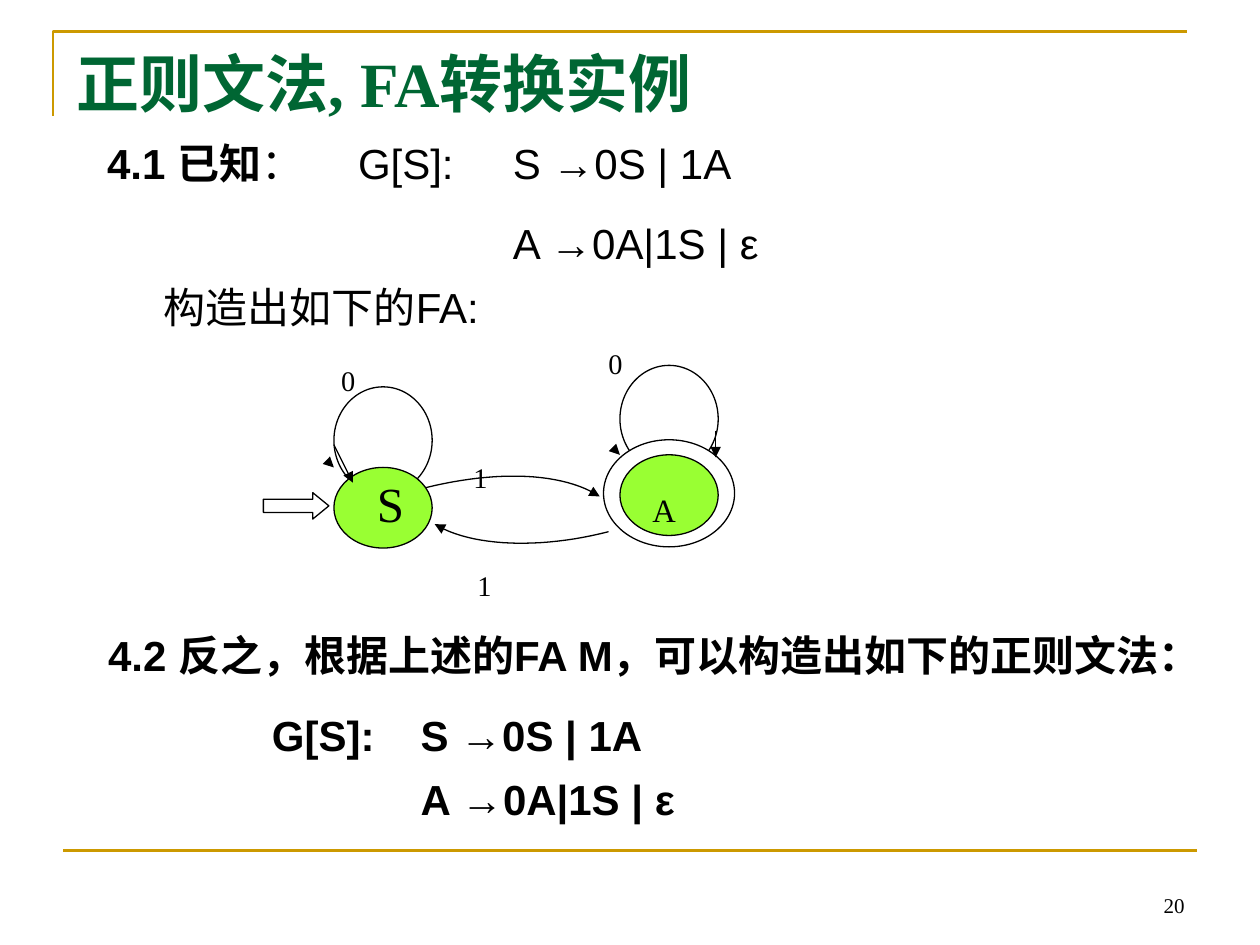
import pptx
import pptx.util
import pptx.dml.color
import pptx.enum.shapes
import pptx.enum.text
import pptx.oxml
import pptx.oxml.ns
import lxml.etree

Inches, Pt = pptx.util.Inches, pptx.util.Pt
Shape = pptx.enum.shapes.MSO_SHAPE
Align = pptx.enum.text.PP_ALIGN
Anchor = pptx.enum.text.MSO_ANCHOR
qn = pptx.oxml.ns.qn
ROMAN, SANS = "Times New Roman", "Arial"
BLACK, WHITE, GOLD, GREEN, LIME = "000000", "FFFFFF", "CC9900", "006633", "99FF33"


def color(code):
    return pptx.dml.color.RGBColor.from_string(code)


def place(shape, box):
    shape.left, shape.top, shape.width, shape.height = map(Inches, box)


def style(para, name, size, code=BLACK, bold=None):
    font = para.font
    font.name, font.size, font.bold = name, Pt(size), bold
    font.color.rgb = color(code)


def stroke(shape, code=BLACK, width=0.75, arrow=False):
    shape.line.color.rgb = color(code)
    shape.line.width = Pt(width)
    if arrow:
        line = shape.line._get_or_add_ln()
        lxml.etree.SubElement(line, qn("a:tailEnd"), type="triangle")


def line(slide, start, end, code=BLACK, width=0.75, arrow=False):
    kind = pptx.enum.shapes.MSO_CONNECTOR.STRAIGHT
    link = slide.shapes.add_connector(kind, *map(Inches, start + end))
    stroke(link, code, width, arrow)
    lxml.etree.SubElement(link._element.spPr, qn("a:effectLst"))


def path(slide, points, code=BLACK, width=0.75, arrow=False):
    first, *rest = [(Inches(x), Inches(y)) for x, y in points]
    pen = slide.shapes.build_freeform(*first)
    pen.add_line_segments(rest, close=False)
    shape = pen.convert_to_shape()
    shape.fill.background()
    shape.shadow.inherit = False
    stroke(shape, code, width, arrow)


def curve(ends, steps=24):
    """Points along a cubic curve given by its four control points."""
    points = []
    for i in range(steps + 1):
        t = i / steps
        parts = ((1 - t) ** 3, 3 * t * (1 - t) ** 2, 3 * t * t * (1 - t), t ** 3)
        points.append(tuple(sum(w * p[k] for w, p in zip(parts, ends)) for k in (0, 1)))
    return points


def solid(slide, kind, box, fill=WHITE):
    shape = slide.shapes.add_shape(kind, *map(Inches, box))
    shape.fill.solid()
    shape.fill.fore_color.rgb = color(fill)
    shape.shadow.inherit = False
    stroke(shape)
    return shape


def label(slide, text, box, size, align=Align.LEFT, base=0, anchor=Anchor.TOP):
    frame = slide.shapes.add_textbox(*map(Inches, box)).text_frame
    frame.word_wrap = True
    frame.vertical_anchor = anchor
    para = frame.paragraphs[0]
    para.alignment = align
    run = para.add_run()
    run.text = text
    style(para, ROMAN, size)
    if base:
        run._r.get_or_add_rPr().set("baseline", str(base * 1000))


def rules(frame, rows):
    """Fill a frame with rows of (runs, left, hang); a run is (text, bold, spread)."""
    frame.word_wrap = True
    frame.auto_size = pptx.enum.text.MSO_AUTO_SIZE.NONE
    frame.vertical_anchor = Anchor.TOP
    for i, (runs, left, hang) in enumerate(rows):
        para = frame.add_paragraph() if i else frame.paragraphs[0]
        para.alignment = Align.LEFT
        para.line_spacing = 1.1 if i else 1.25
        para.space_before = Pt(5 if i else 0)
        para.space_after = Pt(0 if i else 9)
        props = para._p.get_or_add_pPr()
        props.set("marL", str(Inches(left)))
        props.set("indent", str(Inches(-hang)))
        lxml.etree.SubElement(props, qn("a:buNone"))
        agree = len({bold for _, bold, _ in runs}) == 1
        style(para, SANS, 24, bold=runs[0][1] if agree else None)
        for text, bold, spread in runs:
            run = para.add_run()
            run.text = text
            if not agree:
                run.font.bold = bold
            if spread:
                run._r.get_or_add_rPr().set("spc", str(spread * 100))


def frame(slide):
    # Corner rule, footer rule and page number
    path(slide, [(0.42, 0.92), (0.42, 0.25), (9.42, 0.25)], GOLD, 1.5)
    line(slide, (0.5, 6.75), (9.5, 6.75), GOLD, 1.5)
    label(slide, "20", (7.17, 6.83, 2.33, 0.5), 12, Align.RIGHT, anchor=Anchor.BOTTOM)


def words(slide):
    # Title
    title = slide.shapes.title
    place(title, (0.51, 0.27, 9, 0.77))
    text = title.text_frame
    text.text = "正则文法, FA转换实例"
    text.auto_size = pptx.enum.text.MSO_AUTO_SIZE.NONE
    text.vertical_anchor = Anchor.MIDDLE
    text.paragraphs[0].alignment = Align.LEFT
    style(text.paragraphs[0], ROMAN, 36, GREEN, True)

    # Grammar to automaton; the tab leads to the hanging indent
    body = slide.placeholders[1]
    place(body, (0.75, 0.94, 9.29, 4.06))
    rules(body.text_frame, [
        ([("4.1 已知", True, 0), ("：", False, 0), (" ", False, 26),
          ("G[S]:\tS →0S | 1A", False, 0)], 3.22, 3.22),
        ([("A →0A|1S | ε", False, 0)], 3.22, 0),
        ([("构造出如下的FA:", False, 0)], 0.45, 0),
    ])

    # Automaton to grammar
    box = slide.shapes.add_textbox(*map(Inches, (0.76, 4.85, 8.75, 1.72)))
    rules(box.text_frame, [
        ([("4.2 反之，根据上述的FA M，可以构造出如下的正则文法：", True, 0)], 0.38, 0.38),
        ([("G[S]:\tS →0S | 1A", True, 0)], 2.48, 1.18),
        ([("A →0A|1S | ε", True, 0)], 2.48, 0),
    ])


def graph(slide):
    # Start arrow
    start = solid(slide, Shape.RIGHT_ARROW, (2.09, 3.91, 0.52, 0.21))
    start.adjustments[1] = 0.61

    # State S with its loop
    solid(slide, Shape.OVAL, (2.65, 3.07, 0.78, 0.85))
    solid(slide, Shape.OVAL, (2.65, 3.71, 0.78, 0.64), LIME)
    label(slide, "S", (2.71, 3.71, 0.78, 0.64), 28, Align.CENTER)

    # State A with its loop and final ring
    solid(slide, Shape.OVAL, (4.92, 2.9, 0.78, 0.85))
    solid(slide, Shape.OVAL, (4.79, 3.49, 1.04, 0.85))
    solid(slide, Shape.OVAL, (4.92, 3.61, 0.78, 0.64), LIME)
    label(slide, "A", (5.08, 3.54, 0.78, 0.64), 32, base=-25)

    # Loop arrowheads
    for tail, head in (((2.64, 3.7), (2.65, 3.71)), ((2.65, 3.53), (2.8, 3.83)),
                       ((4.91, 3.6), (4.92, 3.61)), ((5.68, 3.42), (5.68, 3.63))):
        line(slide, tail, head, arrow=True)

    # Moves between the states
    for ends in (((4.83, 4.22), (4.29, 4.36), (3.74, 4.34), (3.45, 4.16)),
                 ((3.38, 3.87), (3.95, 3.73), (4.47, 3.75), (4.76, 3.94))):
        path(slide, curve(ends), arrow=True)

    # Input symbols
    for text, left, top in (("0", 2.61, 2.57), ("0", 4.73, 2.44),
                            ("1", 3.66, 3.34), ("1", 3.69, 4.2)):
        label(slide, text, (left, top, 1.3, 0.64), 28, base=-25)


def main():
    deck = pptx.Presentation()
    deck.slide_width, deck.slide_height = Inches(10), Inches(7.5)
    slide = deck.slides.add_slide(deck.slide_layouts[1])
    frame(slide)
    words(slide)
    graph(slide)
    deck.save("out.pptx")


if __name__ == "__main__":
    main()
